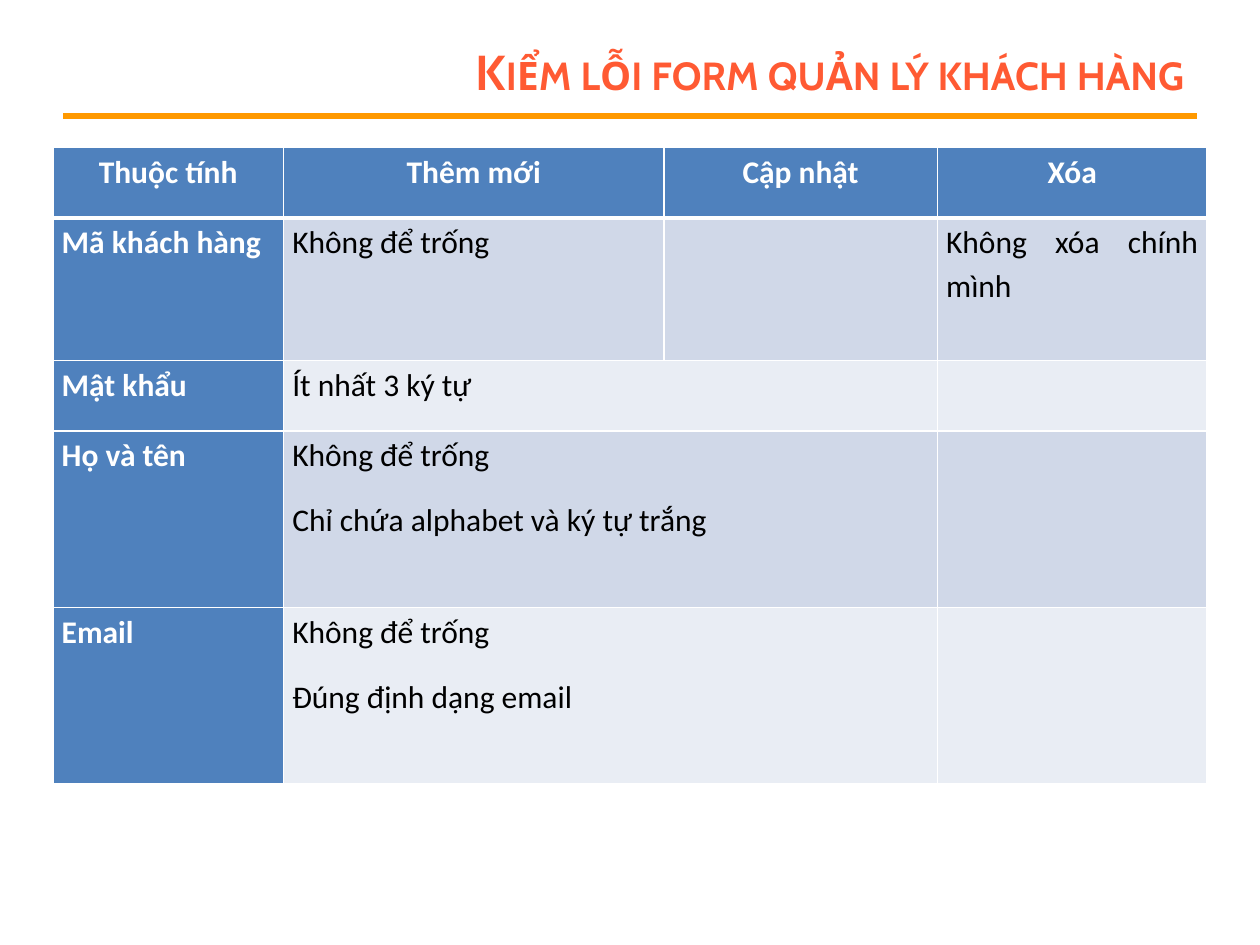
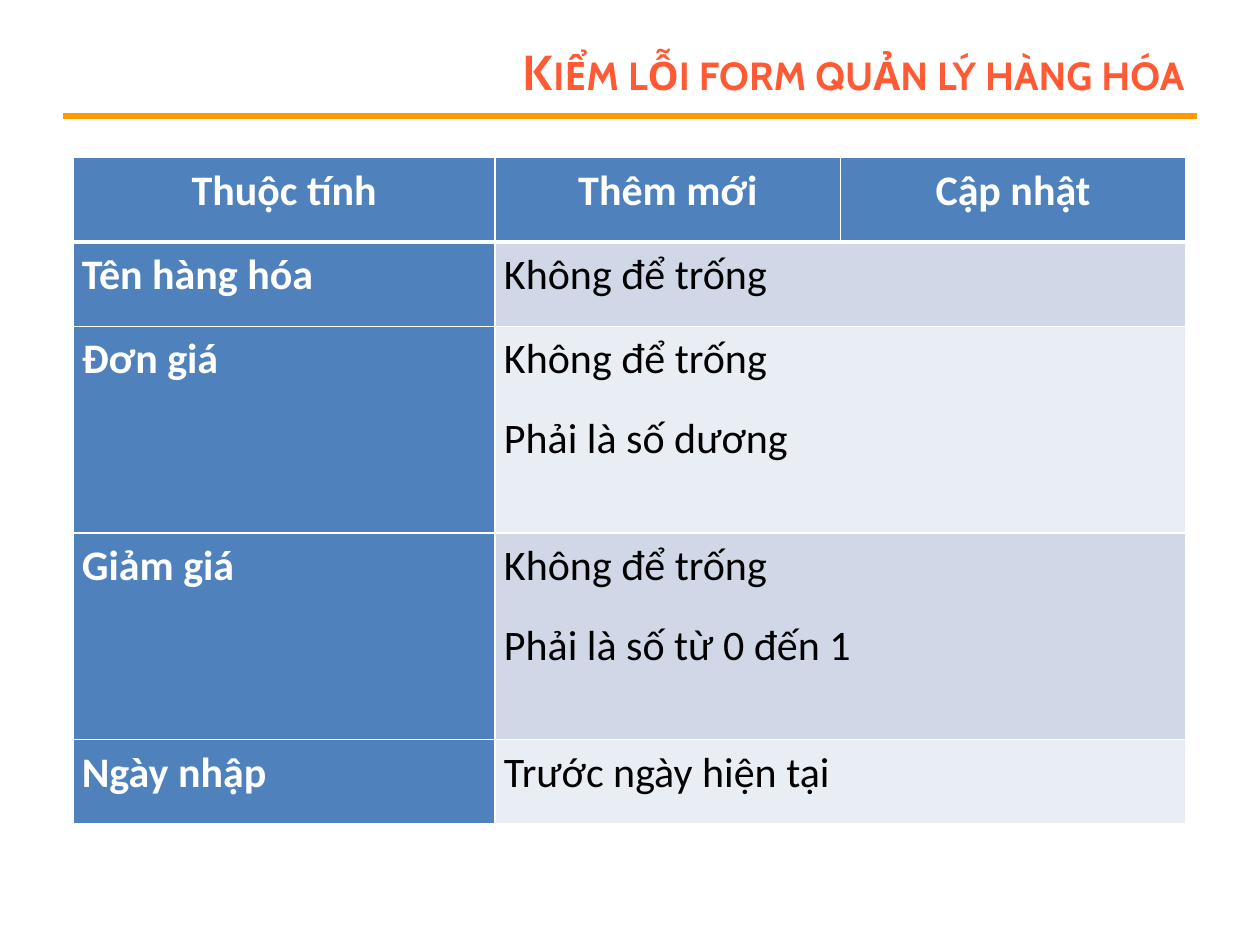
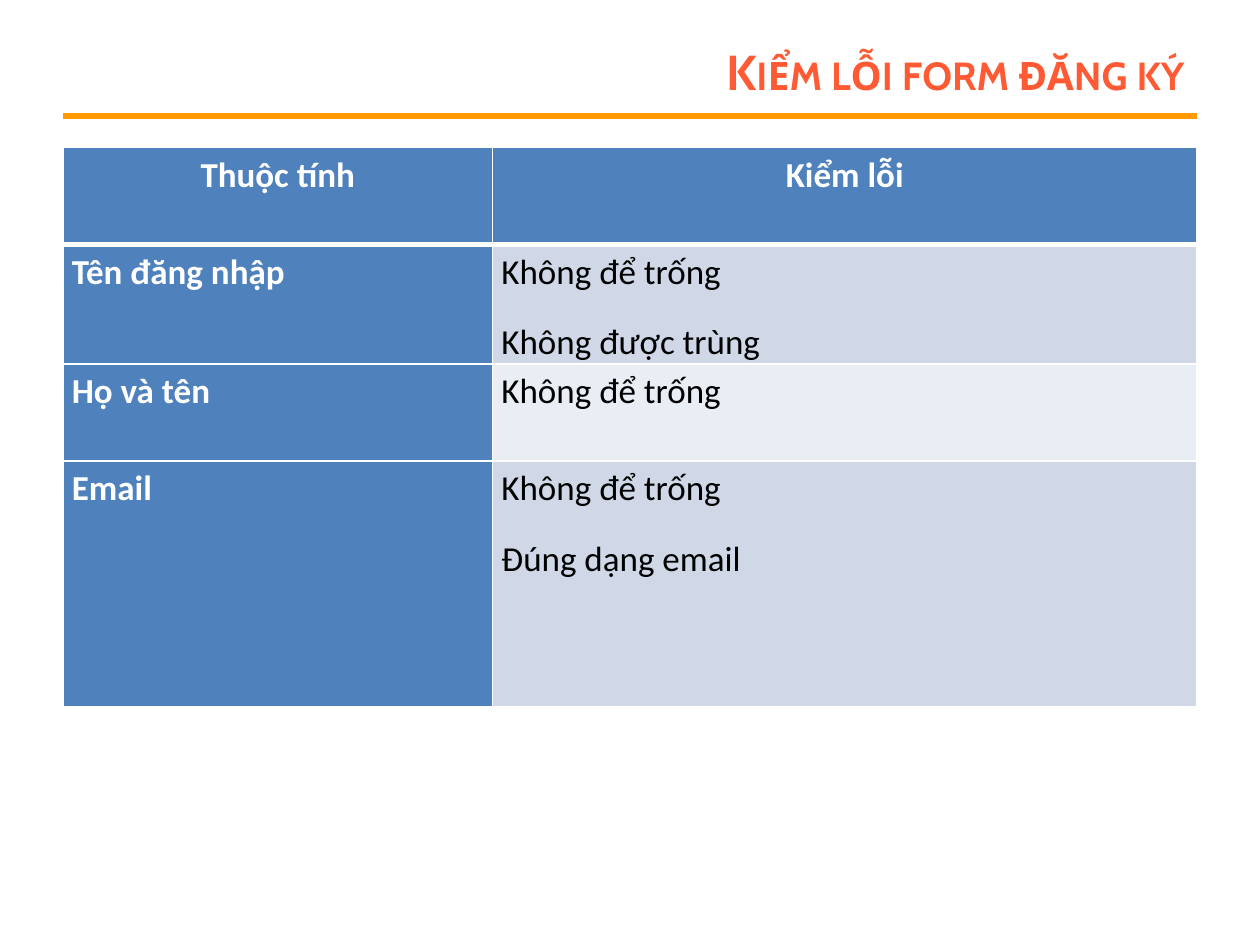
from lxml import etree
from pptx import Presentation
from pptx.dml.color import RGBColor
from pptx.enum import shapes, text
from pptx.oxml.ns import qn
from pptx.util import Inches, Pt

# Shared look
TITLE_COLOR, RULE_COLOR = "FF5A33", "FF9900"
HEAD_FILL, BANDS = "4F81BD", ("D0D8E8", "E9EDF4")
WHITE, BLACK = "FFFFFF", "000000"


def rgb(value):
    return RGBColor.from_string(value)


def add_borders(cell, bottom):
    properties = cell._tc.get_or_add_tcPr()
    for side, width in (("lnL", 1), ("lnR", 1), ("lnT", 1), ("lnB", bottom)):
        border = etree.SubElement(properties, qn(f"a:{side}"), w=str(Pt(width)))
        solid = etree.SubElement(border, qn("a:solidFill"))
        etree.SubElement(solid, qn("a:srgbClr"), val=WHITE)


# Content: a cell is a text with one line per paragraph; None joins the cell to its left
forms = [
    dict(
        title="Kiểm lỗi form quản lý khách hàng", size=18, left=0.42, top=1.17,
        widths=[1.83, 3.02, 2.17, 2.14], heights=[0.56, 1.13, 0.56, 1.4, 1.4],
        rows=[
            ["Thuộc tính", "Thêm mới", "Cập nhật", "Xóa"],
            ["Mã khách hàng", "Không để trống", "", "Không xóa chính mình"],
            ["Mật khẩu", "Ít nhất 3 ký tự", None, ""],
            ["Họ và tên", "Không để trống\nChỉ chứa alphabet và ký tự trắng", None, ""],
            ["Email", "Không để trống\nĐúng định dạng email", None, ""],
        ],
    ),
    dict(
        title="Kiểm lỗi form quản lý hàng hóa", size=24, left=0.58, top=1.25,
        widths=[3.35, 2.74, 2.74], heights=[0.67, 0.67, 1.64, 1.64, 0.67],
        rows=[
            ["Thuộc tính", "Thêm mới", "Cập nhật"],
            ["Tên hàng hóa", "Không để trống", None],
            ["Đơn giá", "Không để trống\nPhải là số dương", None],
            ["Giảm giá", "Không để trống\nPhải là số từ 0 đến 1", None],
            ["Ngày nhập", "Trước ngày hiện tại", None],
        ],
    ),
    dict(
        title="Kiểm lỗi form đăng ký", size=20, left=0.5, top=1.17,
        widths=[3.41, 5.59], heights=[0.77, 0.77, 0.77, 1.95],
        rows=[
            ["Thuộc tính", "Kiểm lỗi"],
            ["Tên đăng nhập", "Không để trống\nKhông được trùng"],
            ["Họ và tên", "Không để trống"],
            ["Email", "Không để trống\nĐúng dạng email"],
        ],
    ),
]

prs = Presentation()
prs.slide_width, prs.slide_height = Inches(10), Inches(7.5)
layout = prs.slide_layouts[5]

for number, form in enumerate(forms):
    slide = prs.slides.add_slide(layout)

    # Rule under the title, drawn once and moved to the layout
    if number == 0:
        rule = slide.shapes.add_connector(
            shapes.MSO_CONNECTOR.STRAIGHT, Inches(0.5), Inches(0.92), Inches(9.5), Inches(0.92))
        rule.line.color.rgb = rgb(RULE_COLOR)
        rule.line.width = Pt(3)
        etree.SubElement(rule.element.spPr, qn("a:effectLst"))
        rule.element.nvCxnSpPr.cNvPr.set("id", "20")
        layout.shapes.element.insert(2, rule.element)

    # Title
    title = slide.shapes.title
    title.left, title.top = Inches(2.25), Inches(0.3)
    title.width, title.height = Inches(7.25), Inches(0.53)
    title.text_frame.text = form["title"]
    title.text_frame.auto_size = text.MSO_AUTO_SIZE.NONE
    title.text_frame.vertical_anchor = text.MSO_ANCHOR.MIDDLE
    heading = title.text_frame.paragraphs[0]
    heading.alignment = text.PP_ALIGN.RIGHT
    font = heading.runs[0].font
    font.name, font.size, font.bold = "Cabin", Pt(28), True
    font.color.rgb = rgb(TITLE_COLOR)
    heading.runs[0]._r.get_or_add_rPr().set("cap", "small")

    # Table of checks
    rows, widths, heights = form["rows"], form["widths"], form["heights"]
    checks = slide.shapes.add_table(
        len(rows), len(widths), Inches(form["left"]), Inches(form["top"]),
        Inches(sum(widths)), Inches(sum(heights))).table
    checks.first_col = True
    for column, width in zip(checks.columns, widths):
        column.width = Inches(width)

    for r, row in enumerate(rows):
        checks.rows[r].height = Inches(heights[r])
        for c, content in enumerate(row):
            cell = checks.cell(r, c)
            is_head = r == 0 or c == 0
            add_borders(cell, bottom=3 if r == 0 else 1)
            cell.fill.solid()
            cell.fill.fore_color.rgb = rgb(HEAD_FILL if is_head else BANDS[(r - 1) % 2])
            cell.margin_left = cell.margin_right = Inches(0.07)
            cell.margin_top = cell.margin_bottom = 0
            if content is None:
                checks.cell(r, c - 1).merge(cell)
                continue
            cell.text_frame.text = content
            for paragraph in cell.text_frame.paragraphs:
                paragraph.alignment = text.PP_ALIGN.CENTER if r == 0 else text.PP_ALIGN.JUSTIFY
                paragraph.line_spacing = 1.15
                paragraph.space_before = paragraph.space_after = Pt(6)
                for run in paragraph.runs:
                    run.font.name, run.font.size = "Calibri", Pt(form["size"])
                    run.font.bold = is_head
                    run.font.color.rgb = rgb(WHITE if is_head else BLACK)

prs.save("out.pptx")
